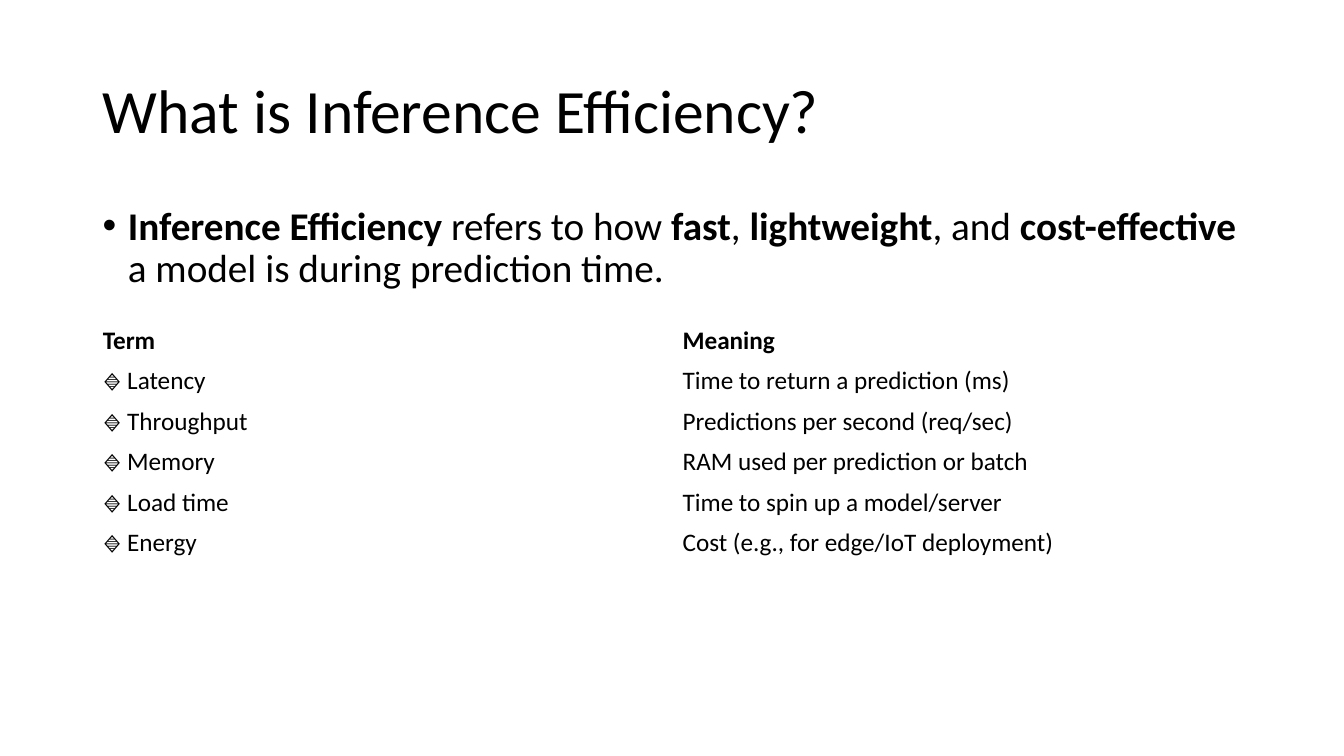
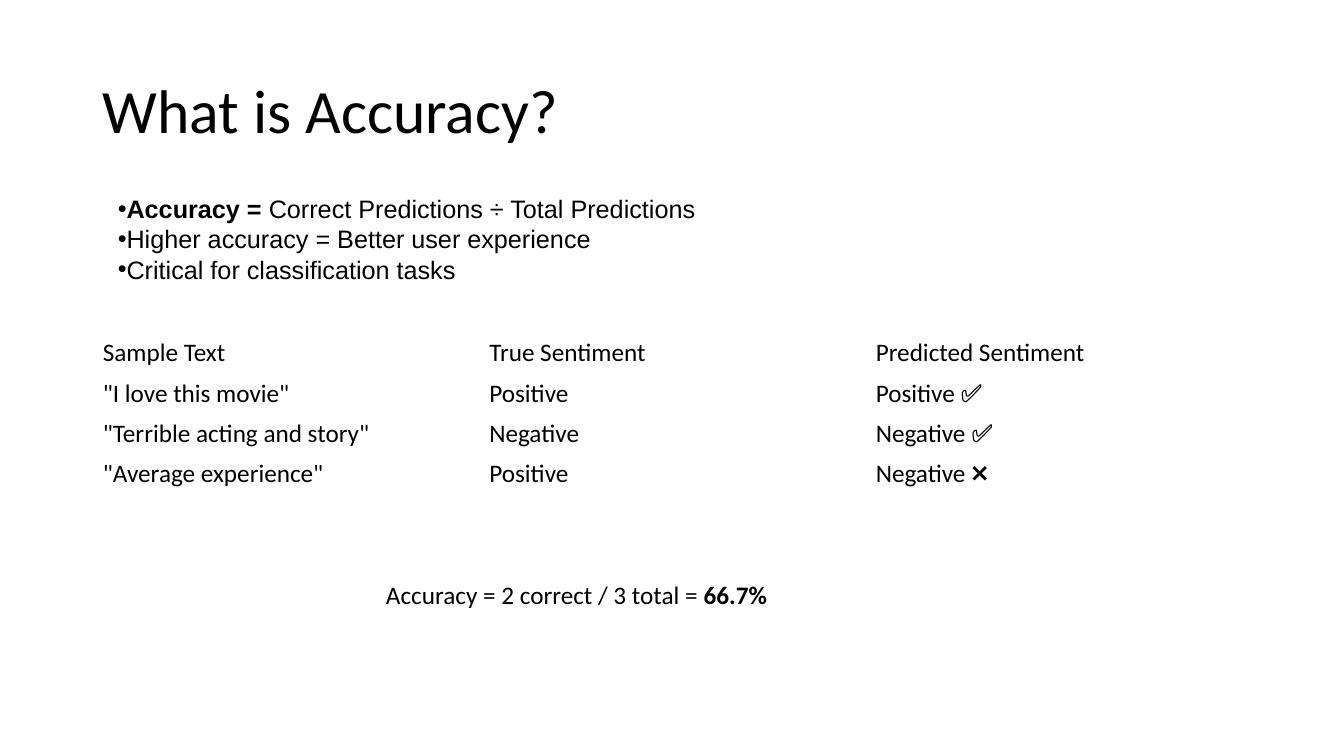
from lxml.etree import SubElement
from pptx import Presentation
from pptx.dml.color import RGBColor
from pptx.enum.text import MSO_ANCHOR as ANCHOR, PP_ALIGN as ALIGN
from pptx.oxml.ns import qn
from pptx.util import Inches, Pt

# Content: ** switches bold on and off
SLIDES = [
    {
        "title": "What is Inference Efficiency?",
        "bullets": [
            "**Inference Efficiency** refers to how **fast**, **lightweight**, "
            "and **cost-effective** a model is during prediction time.",
        ],
        "bullet_box": (0.92, 2, 11.5, 1.1),
        "bullet_style": {"size": 28, "indent": 0.25, "line_spacing": 0.9, "space_before": Pt(10)},
        "table_top": 3.18,
        "table": [
            ("**Term**", "**Meaning**"),
            ("🔹 Latency", "Time to return a prediction (ms)"),
            ("🔹 Throughput", "Predictions per second (req/sec)"),
            ("🔹 Memory", "RAM used per prediction or batch"),
            ("🔹 Load time", "Time to spin up a model/server"),
            ("🔹 Energy", "Cost (e.g., for edge/IoT deployment)"),
        ],
    },
    {
        "title": "What is Accuracy?",
        "bullets": [
            "**Accuracy =** Correct Predictions ÷ Total Predictions",
            "Higher accuracy = Better user experience",
            "Critical for classification tasks",
        ],
        "bullet_box": (1.07, 1.87, 6, 1),
        "bullet_style": {"font": "Arial"},
        "table_top": 3.3,
        "table": [
            ("Sample Text", "True Sentiment", "Predicted Sentiment"),
            ('"I love this movie"', "Positive", "Positive ✅"),
            ('"Terrible acting and story"', "Negative", "Negative ✅"),
            ('"Average experience"', "Positive", "Negative ❌"),
        ],
        "result": "Accuracy = 2 correct / 3 total = **66.7%**",
        "result_box": (3.73, 5.7, 4.03, 0.4),
    },
]

# Shared style
COLORS = {"text": "000000", "background": "FFFFFF"}
FONT = "Calibri"
TITLE_BOX = (0.92, 0.4, 11.5, 1.45)
TABLE_LEFT, TABLE_WIDTH, ROW_HEIGHT = 0.92, 11.5, 0.4


def add_runs(p, text, size=18, font=FONT, **paragraph_format):
    for name, value in paragraph_format.items():
        setattr(p, name, value)
    style = {"size": Pt(size), "name": font}
    for i, part in enumerate(text.split("**")):
        if part:
            r = p.add_run()
            r.text = part
            for name, value in style.items():
                setattr(r.font, name, value)
            r.font.bold = i % 2 == 1
            r.font.color.rgb = RGBColor.from_string(COLORS["text"])


def set_bullet(p, indent):
    pPr = p._p.get_or_add_pPr()
    pPr.set("marL", str(Inches(indent)))
    pPr.set("indent", str(-Inches(indent)))
    SubElement(pPr, qn("a:buFont")).set("typeface", "Arial")
    SubElement(pPr, qn("a:buChar")).set("char", "•")


def add_title(s, text):
    title = s.shapes.title
    title.left, title.top, title.width, title.height = map(Inches, TITLE_BOX)
    tf = title.text_frame
    tf.vertical_anchor = ANCHOR.MIDDLE
    add_runs(tf.paragraphs[0], text, 44, alignment=ALIGN.LEFT, line_spacing=0.9)


def add_text(s, box, lines, bullets=False, indent=0, **style):
    tf = s.shapes.add_textbox(*map(Inches, box)).text_frame
    tf.word_wrap = True
    for i, line in enumerate(lines):
        p = tf.add_paragraph() if i else tf.paragraphs[0]
        add_runs(p, line, **style)
        if bullets:
            set_bullet(p, indent)


def add_table(s, top, rows):
    box = (TABLE_LEFT, top, TABLE_WIDTH, ROW_HEIGHT * len(rows))
    table = s.shapes.add_table(len(rows), len(rows[0]), *map(Inches, box)).table
    table.first_row = table.horz_banding = False
    for i, row in enumerate(rows):
        for j, text in enumerate(row):
            cell = table.cell(i, j)
            cell.fill.background()
            cell.vertical_anchor = ANCHOR.MIDDLE
            add_runs(cell.text_frame.paragraphs[0], text)


def main():
    prs = Presentation()
    prs.slide_width, prs.slide_height = Inches(13.33), Inches(7.5)
    background = prs.slide_master.background.fill
    background.solid()
    background.fore_color.rgb = RGBColor.from_string(COLORS["background"])

    for content in SLIDES:
        s = prs.slides.add_slide(prs.slide_layouts[5])
        add_title(s, content["title"])
        add_text(s, content["bullet_box"], content["bullets"], bullets=True, **content["bullet_style"])
        add_table(s, content["table_top"], content["table"])
        if "result" in content:
            add_text(s, content["result_box"], [content["result"]])

    prs.save("out.pptx")


if __name__ == "__main__":
    main()
